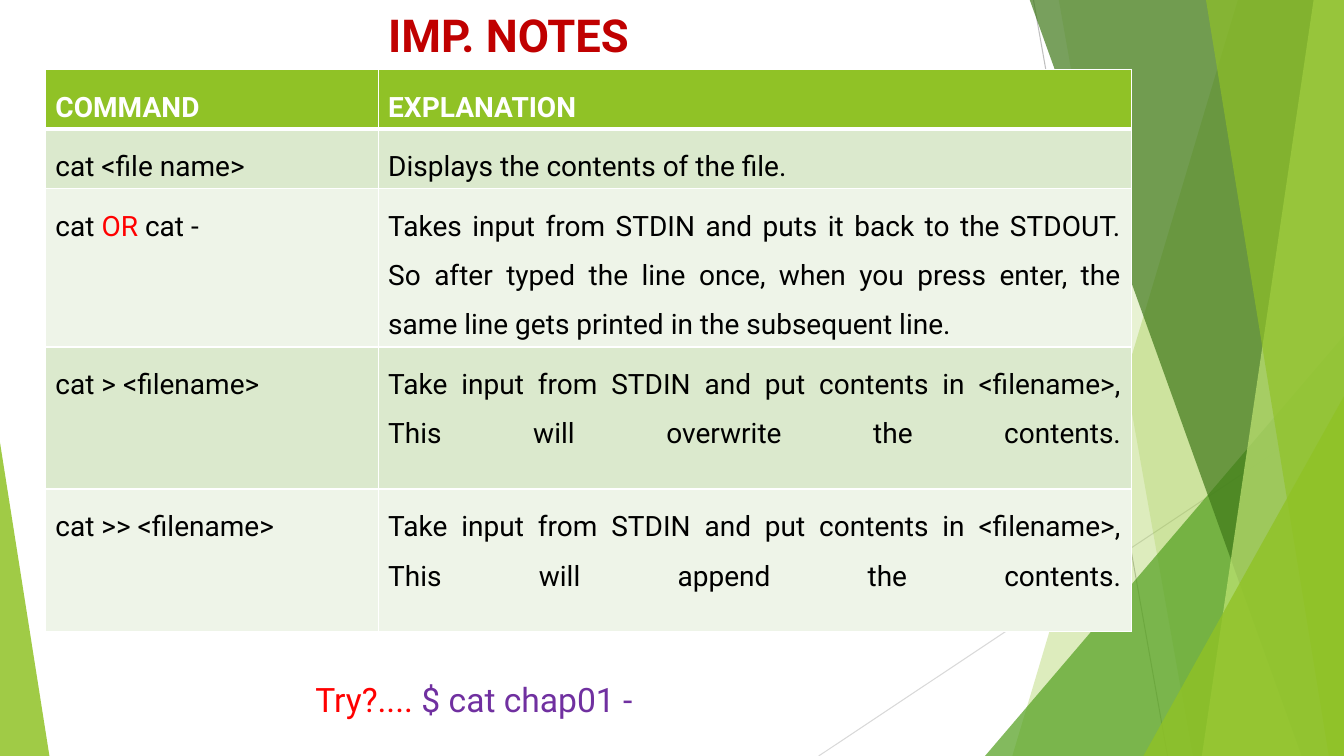
"""Build the slide of notes on the cat command."""
from lxml import etree
from pptx import Presentation
from pptx.dml.color import RGBColor
from pptx.enum.shapes import MSO_CONNECTOR, MSO_SHAPE
from pptx.enum.text import MSO_ANCHOR, MSO_AUTO_SIZE, PP_ALIGN
from pptx.oxml.ns import qn
from pptx.util import Inches, Pt

STRAIGHT = MSO_CONNECTOR.STRAIGHT
TRIANGLE = MSO_SHAPE.ISOSCELES_TRIANGLE
MIDDLE = MSO_ANCHOR.MIDDLE
NO_FIT = MSO_AUTO_SIZE.NONE
LEFT, JUSTIFY = PP_ALIGN.LEFT, PP_ALIGN.JUSTIFY
FONT = "Roboto"
GREEN, BLACK, RED, WHITE = "90C226", "000000", "FF0000", "FFFFFF"


def paint(fill, color, alpha=100):
    fill.solid()
    fill.fore_color.rgb = RGBColor.from_string(color)
    if alpha < 100:
        clr = fill._xPr.find(qn("a:solidFill"))[0]
        etree.SubElement(clr, qn("a:alpha"), val=str(alpha * 1000))


def add_run(p, text, size, color, bold=False):
    r = p.add_run()
    r.text = text
    r.font.name = FONT
    r.font.size = Pt(size)
    r.font.bold = bold
    paint(r.font.fill, color)


prs = Presentation()
prs.slide_width, prs.slide_height = Inches(13.33), Inches(7.5)
s = prs.slides.add_slide(prs.slide_layouts[5])

for x1, y1, x2, y2, color in [(10.25, 0, 11.58, 7.5, "BFBFBF"),
                              (13.33, 4.03, 8.12, 7.5, "D9D9D9")]:
    line = s.shapes.add_connector(STRAIGHT, Inches(x1), Inches(y1), Inches(x2), Inches(y2))
    paint(line.line.fill, color)
    line.line.width = Pt(0.75)
    etree.SubElement(line._element.spPr, qn("a:effectLst"))

# Each band runs to the right edge: top x, bottom x; each triangle: left, top, width, apex
facets = [
    ("band", (12.28, 10.04), GREEN, 30),
    ("band", (10.5, 11.83), GREEN, 20),
    ("triangle", (9.77, 3.33, 3.56, 1), "54A021", 72),
    ("band", (10.21, 12.91), "3F7819", 70),
    ("band", (13.03, 11.92), "C0E474", 70),
    ("band", (11.96, 13.18), GREEN, 65),
    ("triangle", (11.34, 3.93, 1.99, 1), GREEN, 80),
    ("triangle", (0, 4.39, 0.49, 0), GREEN, 85),
]
for kind, place, color, alpha in facets:
    if kind == "band":
        top_x, bottom_x = place
        fb = s.shapes.build_freeform(Inches(top_x), Inches(-0.01))
        fb.add_line_segments([(Inches(x), Inches(y)) for x, y in
                              [(13.33, -0.01), (13.33, 7.5), (bottom_x, 7.5)]])
        sp = fb.convert_to_shape()
    else:
        x, y, w, apex = place
        sp = s.shapes.add_shape(TRIANGLE, Inches(x), Inches(y), Inches(w), Inches(7.5 - y))
        sp.adjustments[0] = apex
    sp.shadow.inherit = False
    sp.line.fill.background()
    paint(sp.fill, color, alpha)

title = s.shapes.title
title.left, title.top, title.width, title.height = (
    Inches(3.75), Inches(0), Inches(3.65), Inches(0.69))
tf = title.text_frame
tf.auto_size = NO_FIT
tf.vertical_anchor = MIDDLE
tf.paragraphs[0].alignment = LEFT
add_run(tf.paragraphs[0], "IMP. NOTES", 32.4, "C00000", True)

rows = [
    (0.58, [("COMMAND", WHITE)], "EXPLANATION"),
    (0.58, [("cat <file name>", BLACK)], "Displays the contents of the file."),
    (1.57, [("cat ", BLACK), ("OR", RED), (" cat -", BLACK)],
     "Takes input from STDIN and puts it back to the STDOUT. So after typed the line once, "
     "when you press enter, the same line gets printed in the subsequent line."),
    (1.41, [("cat > <filename>", BLACK)],
     "Take input from STDIN and put contents in <filename>, This will overwrite the contents.\n"),
    (1.41, [("cat >> <filename>", BLACK)],
     "Take input from STDIN and put contents in <filename>, This will append the contents.\n"),
]
table = s.shapes.add_table(len(rows), 2, Inches(0.45), Inches(0.69), Inches(10.77),
                           Inches(sum(row[0] for row in rows))).table
table.columns[0].width, table.columns[1].width = Inches(3.3), Inches(7.47)
for i, (height, command, explanation) in enumerate(rows):
    table.rows[i].height = Inches(height)
    header = i == 0
    fill = GREEN if header else ("EEF4E8", "DBE9CD")[i % 2]
    for j, runs in enumerate([command, [(explanation, WHITE if header else BLACK)]]):
        cell = table.cell(i, j)
        tcPr = cell._tc.get_or_add_tcPr()
        for side in "LRTB":
            thick = (i, side) in [(0, "B"), (1, "T")]
            ln = etree.SubElement(tcPr, qn("a:ln" + side), w=str(Pt(3 if thick else 1)))
            solid = etree.SubElement(ln, qn("a:solidFill"))
            etree.SubElement(solid, qn("a:srgbClr"), val=WHITE)
        paint(cell.fill, fill)
        p = cell.text_frame.paragraphs[0]
        p.line_spacing = 1.5
        p.alignment = JUSTIFY if j and not header else LEFT
        for text, color in runs:
            add_run(p, text.rstrip("\n"), 20, color, header)
            if text.endswith("\n"):
                p.add_line_break()
                end = etree.SubElement(p._p, qn("a:endParaRPr"), sz="2000")
                etree.SubElement(end, qn("a:latin"), typeface=FONT)

tf = s.shapes.add_textbox(Inches(3.03), Inches(6.69), Inches(8.35), Inches(0.5)).text_frame
tf.word_wrap = True
p = tf.paragraphs[0]
add_run(p, "Try?.... ", 24, RED)
add_run(p, "$ cat chap01 -", 24, "7030A0")

prs.save("out.pptx")
